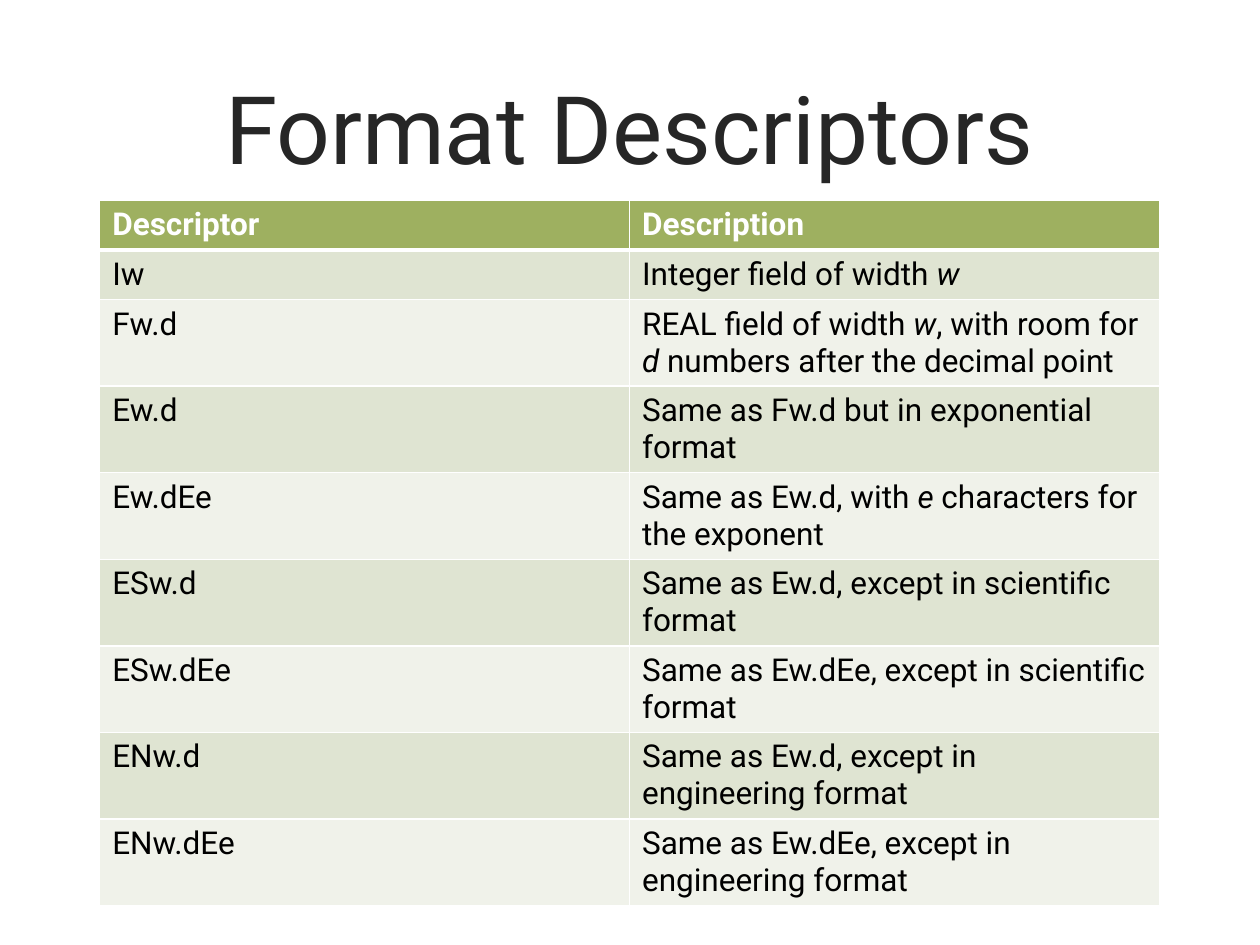
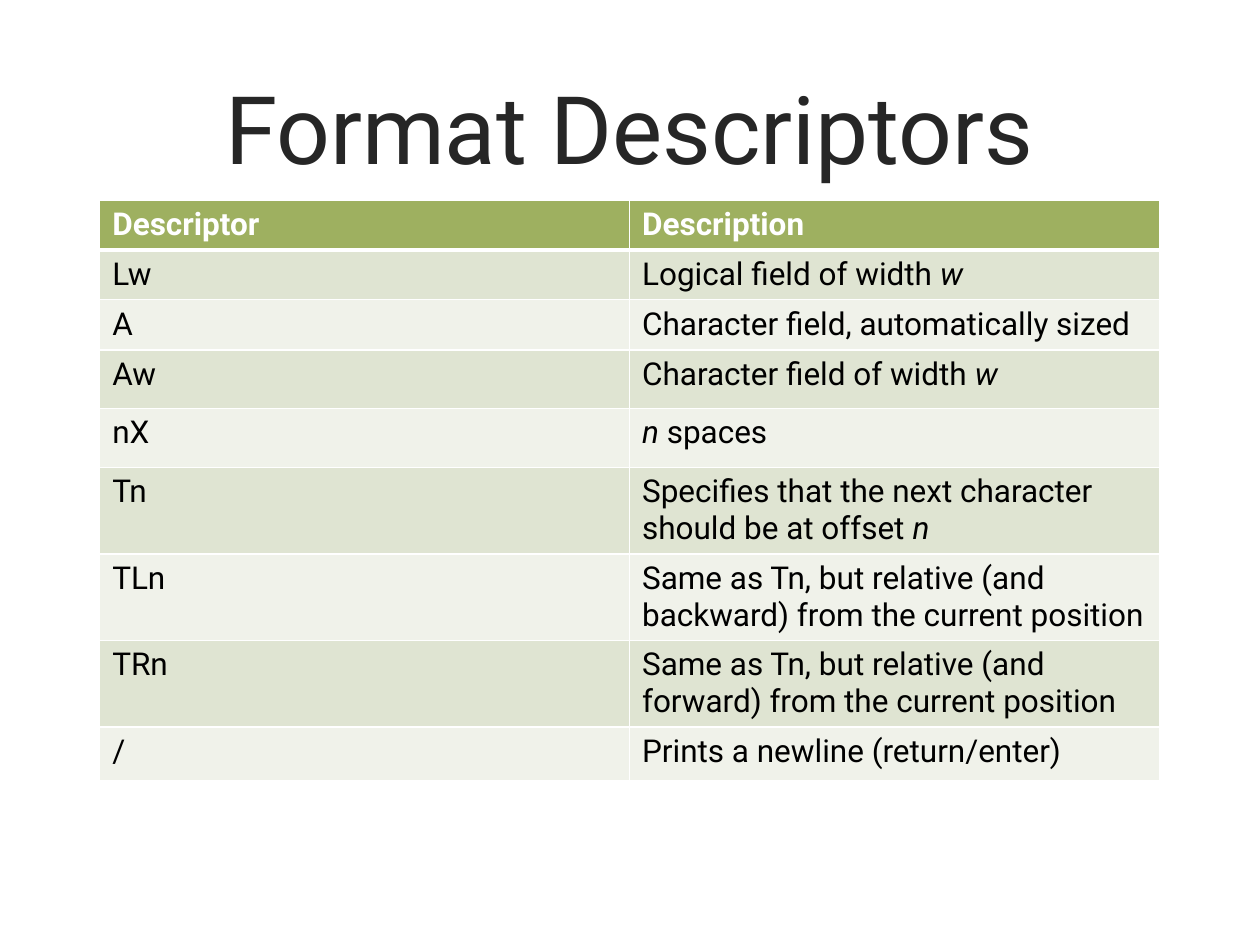
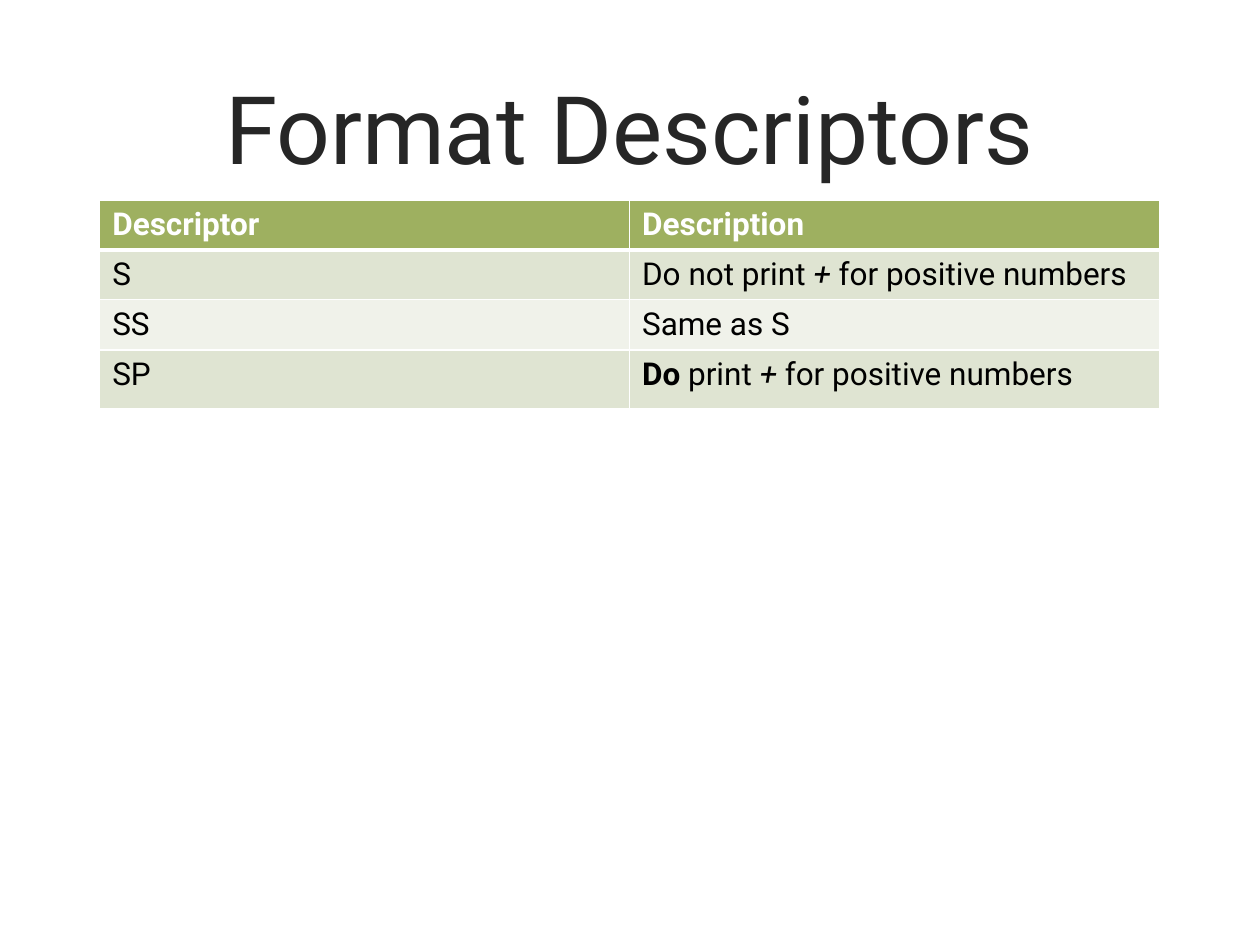
from lxml.etree import SubElement
from pptx import Presentation
from pptx.dml.color import RGBColor
from pptx.enum.text import MSO_ANCHOR as Anchor, MSO_AUTO_SIZE as AutoSize, PP_ALIGN as Align
from pptx.oxml.ns import qn
from pptx.util import Cm, Pt

TITLE = "Format Descriptors"
HEADER = ("Descriptor", "Description")

# A description is a string, or a list of strings and (text, style) pairs.
# Each row ends with its height in centimetres.
W, N, PLUS = ("w", "italic"), ("n", "italic"), ("+", "italic")
SINGLE, DOUBLE = 0.91, 1.63
TABLES = [
    [
        ("Iw", ["Integer field of width ", W], SINGLE),
        ("Fw.d", ["REAL field of width ", W, ", with room for ", ("d", "italic"),
                  " numbers after the decimal point"], DOUBLE),
        ("Ew.d", "Same as Fw.d but in exponential format", DOUBLE),
        ("Ew.dEe", ["Same as Ew.d, with ", ("e", "italic"),
                    " characters for the exponent"], DOUBLE),
        ("ESw.d", "Same as Ew.d, except in scientific format", DOUBLE),
        ("ESw.dEe", "Same as Ew.dEe, except in scientific format", DOUBLE),
        ("ENw.d", "Same as Ew.d, except in engineering format", DOUBLE),
        ("ENw.dEe", "Same as Ew.dEe, except in engineering format", DOUBLE),
    ],
    [
        ("Lw", ["Logical field of width ", W], SINGLE),
        ("A", "Character field, automatically sized", 1.02),
        ("Aw", ["Character field of width ", W], 1.17),
        ("nX", [N, " spaces"], 1.19),
        ("Tn", ["Specifies that the next character should be at offset ", N], DOUBLE),
        ("TLn", "Same as Tn, but relative (and backward) from the current position", DOUBLE),
        ("TRn", "Same as Tn, but relative (and forward) from the current position", DOUBLE),
        ("/", "Prints a newline (return/enter)", 1.09),
    ],
    [
        ("S", ["Do not print ", PLUS, " for positive numbers"], SINGLE),
        ("SS", "Same as S", 1.02),
        ("SP", [("Do", "bold"), " print ", PLUS, " for positive numbers"], 1.17),
    ],
]

COLORS = {
    "title": "262626", "header": "9EB060", "header text": "FFFFFF",
    "odd row": "DFE4D2", "even row": "F0F2EA", "text": "000000", "border": "FFFFFF",
}
FONT = "Roboto"
LEFT, WIDTH = Cm(2.01), Cm(21.36)
TITLE_TOP, TITLE_HEIGHT, TABLE_TOP = Cm(0.86), Cm(3.18), Cm(4.04)
TITLE_BOX = {"left": LEFT, "top": TITLE_TOP, "width": WIDTH, "height": TITLE_HEIGHT}
TITLE_FRAME = {"auto_size": AutoSize.NONE, "word_wrap": True,
               "vertical_anchor": Anchor.MIDDLE, "margin_top": Cm(0.33)}


def set_all(target, values):
    for name, value in values.items():
        setattr(target, name, value)


def add_span(para, text, size, color, **styles):
    span = para.add_run()
    span.text = text
    set_all(span.font, {"name": FONT, "size": Pt(size), **styles})
    span.font.color.rgb = RGBColor.from_string(COLORS[color])


def add_title(page):
    box = page.shapes.title
    set_all(box, TITLE_BOX)
    set_all(box.text_frame, TITLE_FRAME)
    para = box.text_frame.paragraphs[0]
    para.alignment = Align.CENTER
    add_span(para, TITLE, 54, "title")


def add_borders(cell, bottom):
    properties = cell._tc.get_or_add_tcPr()
    for side, points in {"L": 1, "R": 1, "T": 1, "B": bottom}.items():
        line = SubElement(properties, qn(f"a:ln{side}"), w=str(Pt(points)))
        fill = SubElement(line, qn("a:solidFill"))
        SubElement(fill, qn("a:srgbClr"), val=COLORS["border"])


def fill_cell(cell, content, row):
    is_header = row == 0
    fill = "header" if is_header else "odd row" if row % 2 else "even row"
    add_borders(cell, bottom=3 if is_header else 1)
    cell.fill.solid()
    cell.fill.fore_color.rgb = RGBColor.from_string(COLORS[fill])
    para = cell.text_frame.paragraphs[0]
    for part in [content] if isinstance(content, str) else content:
        text, style = (part, None) if isinstance(part, str) else part
        add_span(para, text, 18, "header text" if is_header else "text",
                 bold=is_header or style == "bold", italic=style == "italic")


def add_descriptor_table(page, descriptors):
    rows = [(*HEADER, SINGLE), *descriptors]
    height = Cm(sum(row[-1] for row in rows))
    table = page.shapes.add_table(len(rows), len(HEADER), LEFT, TABLE_TOP, WIDTH, height).table
    for index, (*contents, row_height) in enumerate(rows):
        table.rows[index].height = Cm(row_height)
        for column, content in enumerate(contents):
            fill_cell(table.cell(index, column), content, index)


def main():
    deck = Presentation()
    deck.slide_width, deck.slide_height = Cm(25.4), Cm(19.05)
    title_only = deck.slide_layouts.get_by_name("Title Only")
    for descriptors in TABLES:
        page = deck.slides.add_slide(title_only)
        add_title(page)
        add_descriptor_table(page, descriptors)
    deck.save("out.pptx")


if __name__ == "__main__":
    main()
